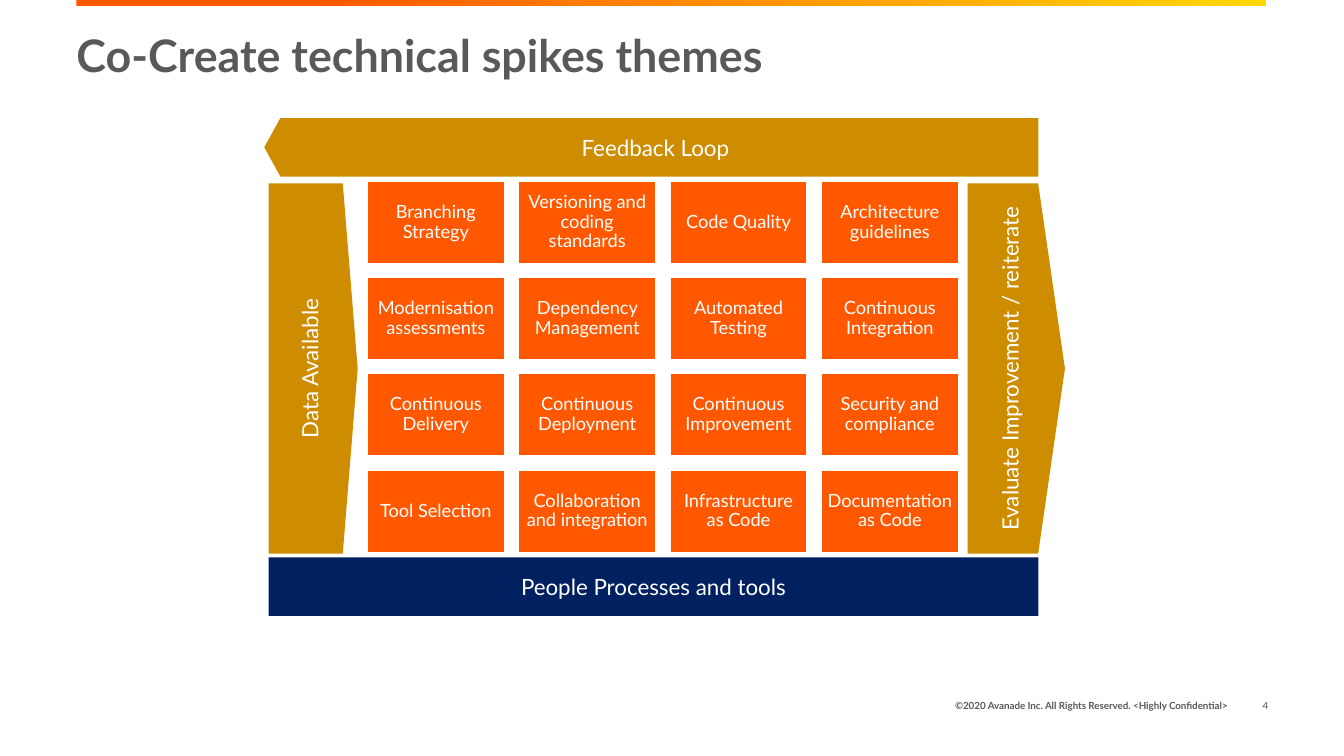
from pptx import Presentation
from pptx.dml.color import RGBColor
from pptx.enum.shapes import MSO_SHAPE
from pptx.enum.text import MSO_ANCHOR, PP_ALIGN
from pptx.oxml.ns import qn
from pptx.util import Pt

RECT, ARROW = MSO_SHAPE.RECTANGLE, MSO_SHAPE.PENTAGON
LEFT, CENTER, RIGHT = PP_ALIGN.LEFT, PP_ALIGN.CENTER, PP_ALIGN.RIGHT
MIDDLE = MSO_ANCHOR.MIDDLE
FONT = "Lato"
COLORS = {
    "orange": "FF5800", "yellow": "FFD700", "gold": "CE8C00",
    "navy": "002060", "gray": "595959", "white": "FFFFFF",
}
HUES = {name: RGBColor.from_string(code) for name, code in COLORS.items()}

deck = Presentation()
deck.slide_width, deck.slide_height = Pt(960), Pt(540)
slide = deck.slides.add_slide(deck.slide_layouts[6])


def write(shape, text, size, hue="white", align=CENTER, bold=False, pads=(7.2, 7.2), lead=1):
    frame = shape.text_frame
    frame.word_wrap = True
    frame.vertical_anchor = MIDDLE
    frame.margin_left, frame.margin_right = Pt(pads[0]), Pt(pads[1])
    frame.margin_top = frame.margin_bottom = Pt(3.6)
    para = frame.paragraphs[0]
    para.alignment = align
    para.line_spacing = lead
    run = para.add_run()
    run.text = text
    run.font.name, run.font.size, run.font.bold = FONT, Pt(size), bold
    run.font.color.rgb = HUES[hue]


def block(kind, box, hue):
    shape = slide.shapes.add_shape(kind, *map(Pt, box))
    shape.shadow.inherit = False
    shape.fill.solid()
    shape.fill.fore_color.rgb = HUES[hue]
    shape.line.fill.background()
    return shape


# Gradient bar along the top edge
bar = block(RECT, (54.6, 0, 849.8, 4), "orange")
bar.fill.gradient()
bar.fill.gradient_angle = 0
for stop, place, hue in zip(bar.fill.gradient_stops, (0.2, 1), ("orange", "yellow")):
    stop.position = place
    stop.color.rgb = HUES[hue]

# Title, footer and page number
title = slide.shapes.add_textbox(Pt(54.6), Pt(3.6), Pt(849.8), Pt(75.6))
write(title, "Co-Create technical spikes themes", 32, "gray", LEFT, True, (0, 7.2), 0.9)
footer = slide.shapes.add_textbox(Pt(560), Pt(489.6), Pt(324), Pt(28.8))
write(footer, "©2020 Avanade Inc. All Rights Reserved. <Highly Confidential>", 7, "gray", RIGHT, True)
page = slide.shapes.add_textbox(Pt(878.4), Pt(489.6), Pt(34.6), Pt(28.8))
write(page, "4", 7, "gray", RIGHT)

# Grid of themes
THEMES = [
    ["Branching Strategy", "Versioning and coding standards", "Code Quality", "Architecture guidelines"],
    ["Modernisation assessments", "Dependency Management", "Automated Testing", "Continuous Integration"],
    ["Continuous Delivery", "Continuous Deployment", "Continuous Improvement", "Security and compliance"],
    ["Tool Selection", "Collaboration and integration", "Infrastructure as Code", "Documentation as Code"],
]
for row, names in enumerate(THEMES):
    for col, name in enumerate(names):
        tile = block(RECT, (262.3 + 108.1 * col, 129.4 + 68.8 * row, 98, 58.8), "orange")
        tile.line.color.rgb = HUES["white"]
        tile.line.width = Pt(1)
        write(tile, name, 13, pads=(3.6, 3.6), lead=0.9)

# Base under the grid
base = block(RECT, (191.8, 398.2, 550, 41.8), "navy")
write(base, "People Processes and tools", 16)

# Arrows at both sides
SIDES = [
    ("Data Available", 191.8, 63.7, 0.167),
    ("Evaluate Improvement / reiterate", 691.2, 69.5, 0.275),
]
for name, left, width, tip in SIDES:
    side = block(ARROW, (left, 131, width, 264.5), "gold")
    side.adjustments[0] = tip
    write(side, name, 16)
    side.text_frame._txBody.bodyPr.set("vert", "vert270")

# Feedback arrow pointing back
loop = block(ARROW, (188.8, 84.3, 553, 41.8), "gold")
loop.adjustments[0] = 0.275
loop.element.spPr.find(qn("a:xfrm")).set("flipH", "1")
write(loop, "Feedback Loop", 16)

deck.save("out.pptx")
